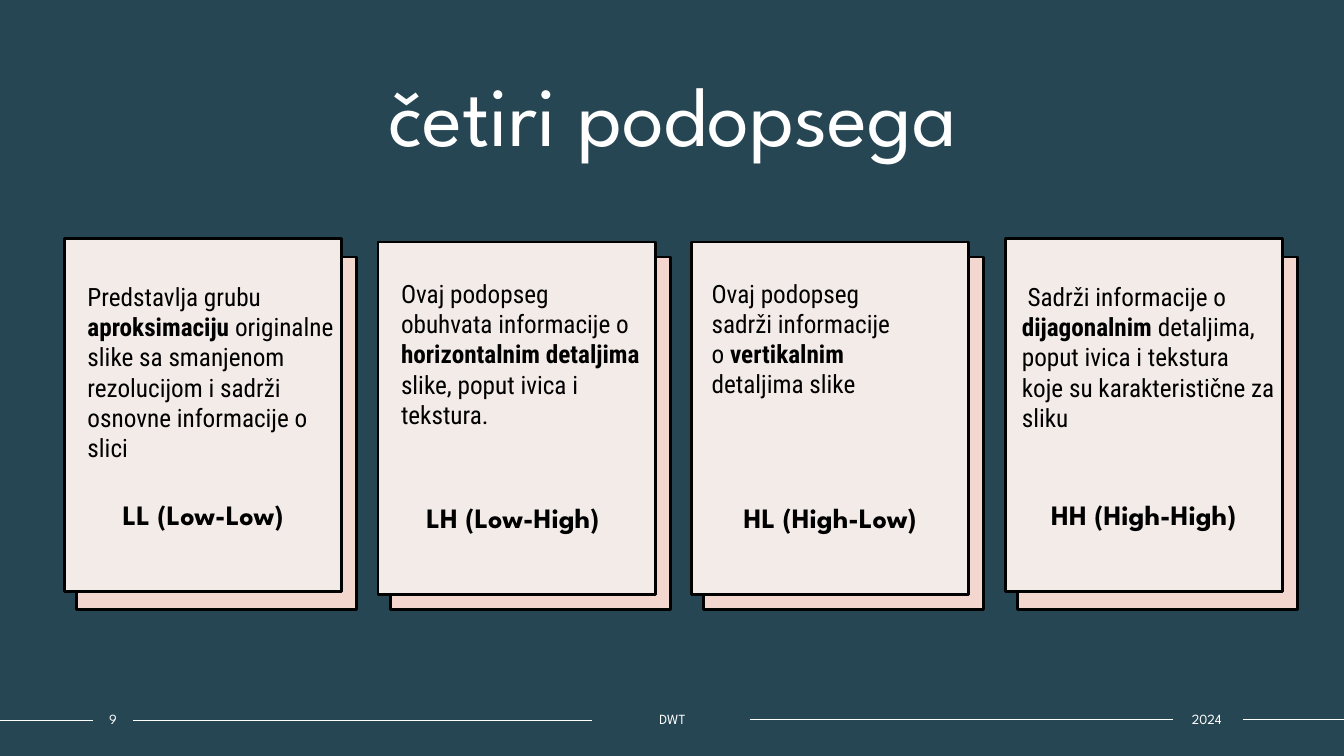
from pptx import Presentation
from pptx.dml.color import RGBColor
from pptx.enum.shapes import MSO_CONNECTOR, MSO_SHAPE
from pptx.enum.text import MSO_ANCHOR, MSO_AUTO_SIZE, PP_ALIGN
from pptx.oxml.ns import qn
from pptx.util import Inches, Pt
from lxml import etree

NAVY = RGBColor(0x26, 0x46, 0x53)
PEACH = RGBColor(0xF3, 0xD6, 0xCD)
CREAM = RGBColor(0xF3, 0xEB, 0xE8)
BLACK = RGBColor(0, 0, 0)
WHITE = RGBColor(0xFF, 0xFF, 0xFF)
HEAD, BODY = "League Spartan", "Roboto Condensed"
RECT, STRAIGHT = MSO_SHAPE.RECTANGLE, MSO_CONNECTOR.STRAIGHT
LEFT, CENTER = PP_ALIGN.LEFT, PP_ALIGN.CENTER
TOP, MIDDLE, BOTTOM = MSO_ANCHOR.TOP, MSO_ANCHOR.MIDDLE, MSO_ANCHOR.BOTTOM
NO_FIT, GROW = MSO_AUTO_SIZE.NONE, MSO_AUTO_SIZE.SHAPE_TO_FIT_TEXT

# Card grid, in percent of the slide
CARD_LEFT, CARD_PITCH, CARD_W, CARD_H = 4.8, 23.33, 20.63, 46.67
BACK_LEFT, BACK_TOP, BACK_W = 5.7, 34, 20.85

# label, card top, text inset (x, y), text size (w, h), runs as (text, bold)
CARDS = [
    ("LL (Low-Low)", 31.6, (0.97, 4.93), (20.33, 21.6),
     [("Predstavlja grubu ", False), ("aproksimaciju", True),
      (" originalne slike sa smanjenom rezolucijom i sadrži osnovne "
       "informacije o slici", False)]),
    ("LH (Low-High) ", 32, (0.97, 4.13), (19.5, 21.6),
     [("Ovaj podopseg obuhvata informacije o ", False),
      ("horizontalnim detaljima ", True),
      ("slike, poput ivica i tekstura.", False)]),
    ("HL (High-Low)", 32, (0.75, 4.13), (15.75, 17.47),
     [("Ovaj podopseg sadrži informacije o ", False), ("vertikalnim", True),
      (" detaljima slike", False)]),
    ("HH (High-High)", 31.6, (0.5, 4.93), (20.4, 17.47),
     [(" Sadrži informacije o ", False), ("dijagonalnim", True),
      (" detaljima, poput ivica i tekstura koje su karakteristične za sliku",
       False)]),
]
FOOTER_RULES = [(0, 6.9, 95.33), (9.9, 44.03, 95.33),
                (55.8, 87.3, 95.2), (92.48, 100, 95.2)]
FOOTER_TEXTS = [("9", 6.9, 3), ("DWT", 44.03, 12), ("2024", 87.17, 5.25)]


class Deck:
    """Holds the current slide; every length is a percent of the slide."""

    def __init__(self, prs):
        self.prs = prs
        self.s = prs.slides.add_slide(prs.slide_layouts[5])
        bg = self.s.background.fill
        bg.solid()
        bg.fore_color.rgb = NAVY

    def x(self, share):
        return round(self.prs.slide_width * share / 100)

    def y(self, share):
        return round(self.prs.slide_height * share / 100)

    def box(self, left, top, width, height):
        return self.x(left), self.y(top), self.x(width), self.y(height)

    def add_runs(self, sp, runs, size, font, color, align=CENTER, anchor=TOP,
                 fit=NO_FIT):
        """Fill the first paragraph with (text, bold) runs and return it."""
        tf = sp.text_frame
        tf.word_wrap, tf.auto_size, tf.vertical_anchor = True, fit, anchor
        p = tf.paragraphs[0]
        p.alignment = align
        for text, bold in runs:
            r = p.add_run()
            r.text = text
            r.font.size, r.font.name, r.font.bold = Pt(size), font, bold
            r.font.color.rgb = color
        return p

    def title(self, text, *box):
        sp = self.s.shapes.title
        sp.left, sp.top, sp.width, sp.height = self.box(*box)
        self.add_runs(sp, [(text, False)], 60, HEAD, WHITE, anchor=BOTTOM)

    def text(self, runs, size, font, color, *box, **style):
        sp = self.s.shapes.add_textbox(*self.box(*box))
        self.add_runs(sp, runs, size, font, color, **style)
        return sp

    def panel(self, fill, *box):
        sp = self.s.shapes.add_shape(RECT, *self.box(*box))
        sp.shadow.inherit = False
        sp.fill.solid()
        sp.fill.fore_color.rgb = fill
        sp.line.color.rgb, sp.line.width = BLACK, Pt(2)
        return sp

    def card(self, label, *box):
        sp = self.panel(CREAM, *box)
        sp.text_frame.margin_top = Inches(2.6)
        p = self.add_runs(sp, [(label, True)], 20, HEAD, BLACK)
        p.line_spacing, p.space_before = 0.9, Pt(10)

    def rule(self, start, end, top):
        line = self.s.shapes.add_connector(
            STRAIGHT, self.x(start), self.y(top), self.x(end), self.y(top))
        line.line.color.rgb, line.line.width = WHITE, Pt(1)
        etree.SubElement(line._element.spPr, qn("a:effectLst"))

    def footer(self, text, left, width):
        sp = self.text([(text, False)], 10, HEAD, WHITE,
                       left, 93.33, width, 3.6, anchor=MIDDLE)
        sp.text_frame.margin_left = sp.text_frame.margin_right = 0


def main():
    prs = Presentation()
    prs.slide_width, prs.slide_height = Inches(13.33), Inches(7.5)
    deck = Deck(prs)
    deck.title("četiri podopsega", 9.38, 7.47, 81.32, 14.8)
    for rule in FOOTER_RULES:
        deck.rule(*rule)
    for footer in FOOTER_TEXTS:
        deck.footer(*footer)
    for i, (label, top, (dx, dy), size, runs) in enumerate(CARDS):
        shift = i * CARD_PITCH
        left = CARD_LEFT + shift
        deck.panel(PEACH, BACK_LEFT + shift, BACK_TOP, BACK_W, CARD_H)
        deck.card(label, left, top, CARD_W, CARD_H)
        deck.text(runs, 18, BODY, BLACK, left + dx, top + dy, *size,
                  align=LEFT, fit=GROW)
    prs.save("out.pptx")


if __name__ == "__main__":
    main()
